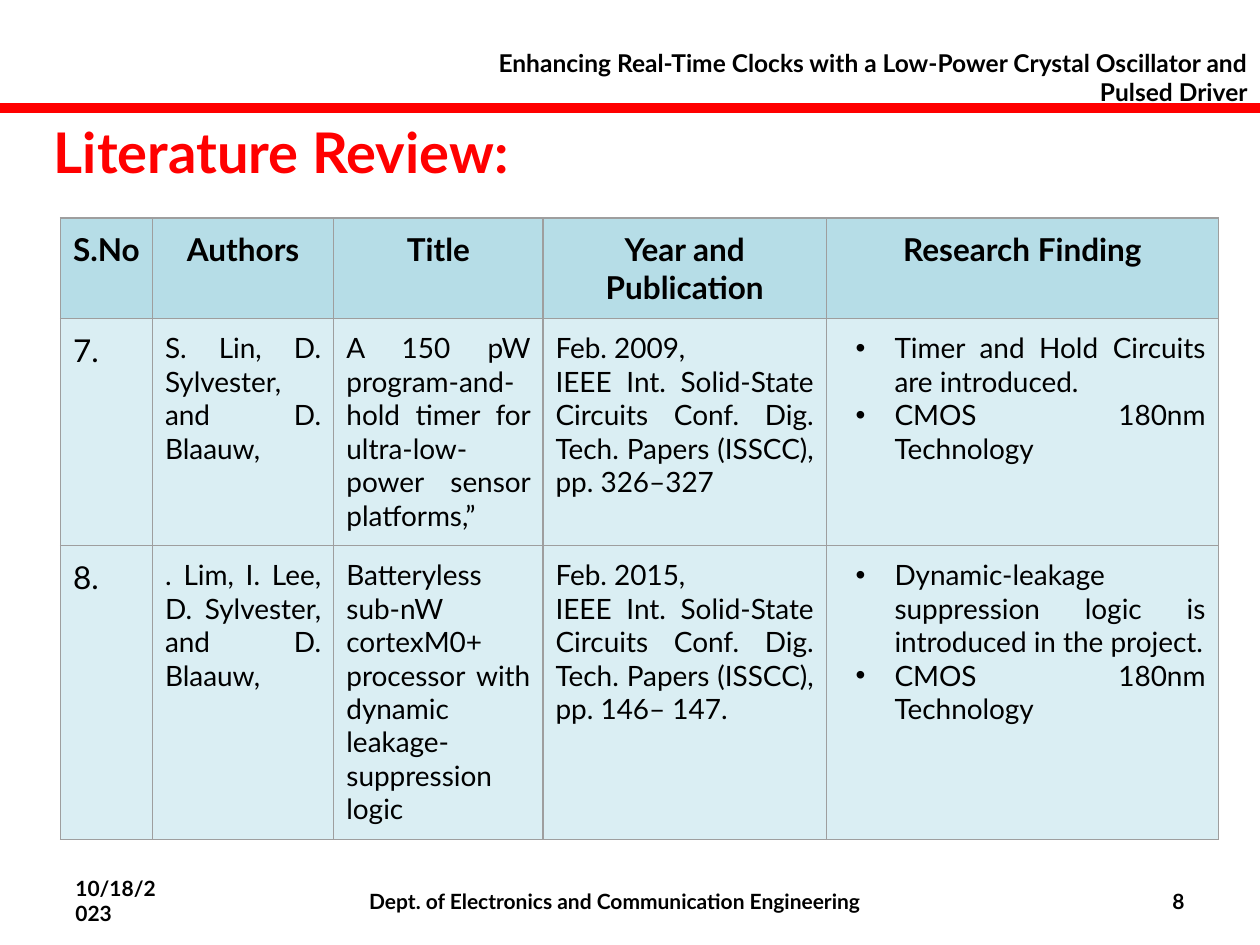
from dataclasses import dataclass

from lxml.etree import SubElement
from pptx import Presentation
from pptx.dml.color import RGBColor
from pptx.enum.shapes import MSO_SHAPE
from pptx.enum.text import MSO_ANCHOR, PP_ALIGN
from pptx.oxml.ns import qn
from pptx.util import Inches, Pt


@dataclass(frozen=True)
class Theme:
    font: str = "Lato"
    ink: str = "000000"
    accent: str = "FF0000"
    header_fill: str = "B6DDE7"
    body_fill: str = "DAEEF3"
    border: str = "9E9E9E"
    title_size: int = 32
    heading_size: int = 18
    body_size: int = 16
    project_size: int = 14
    footer_size: int = 12


HEADINGS = ["S.No", "Authors", "Title", "Year and Publication", "Research Finding"]
PAPERS = [
    [
        ["7."],
        ["S. Lin, D. Sylvester, and D. Blaauw,"],
        ["A 150 pW program-and-hold timer for ultra-low-power sensor platforms,”"],
        ["Feb. 2009,",
         "IEEE Int. Solid-State Circuits Conf. Dig. Tech. Papers (ISSCC), pp. 326–327"],
        ["Timer and Hold Circuits are introduced.", "CMOS 180nm Technology"],
    ],
    [
        ["8."],
        [". Lim, I. Lee, D. Sylvester, and D. Blaauw,"],
        ["Batteryless sub-nW cortexM0+ processor with dynamic leakage-suppression logic"],
        ["Feb. 2015,",
         "IEEE Int. Solid-State Circuits Conf. Dig. Tech. Papers (ISSCC), pp. 146– 147."],
        ["Dynamic-leakage suppression logic is introduced in the project.",
         "CMOS 180nm Technology"],
    ],
]
COLUMN_WIDTHS = [0.73, 1.44, 1.66, 2.25, 3.11]
ROW_HEIGHTS = [0.45, 1.39, 1.39]


class SlideBuilder:
    def __init__(self, page, theme):
        self.page = page
        self.theme = theme

    def fill_frame(self, frame, lines, size, color, align, bold=False, bulleted=False):
        frame.word_wrap = True
        for index, line in enumerate(lines):
            para = frame.paragraphs[0] if index == 0 else frame.add_paragraph()
            para.text = line
            para.alignment = align
            if bulleted:
                self.add_bullet(para)
            para.font.name = self.theme.font
            para.font.size = Pt(size)
            para.font.bold = bold
            para.font.color.rgb = RGBColor.from_string(color)

    def add_bullet(self, para):
        properties = para._p.get_or_add_pPr()
        properties.set("marL", str(Inches(0.44)))
        properties.set("indent", str(Inches(-0.31)))
        color = SubElement(properties, qn("a:buClr"))
        SubElement(color, qn("a:srgbClr"), val=self.theme.ink)
        SubElement(properties, qn("a:buFont"), typeface="Arial")
        SubElement(properties, qn("a:buChar"), char="•")

    def bar(self, left, top, width, height):
        bar = self.page.shapes.add_shape(
            MSO_SHAPE.RECTANGLE, Inches(left), Inches(top), Inches(width), Inches(height))
        bar.shadow.inherit = False
        color = RGBColor.from_string(self.theme.accent)
        bar.fill.solid()
        bar.fill.fore_color.rgb = color
        bar.line.color.rgb = color
        bar.line.width = Pt(2)

    def text(self, left, top, width, height, line, size, color=None,
             align=PP_ALIGN.LEFT, anchor=MSO_ANCHOR.TOP):
        box = self.page.shapes.add_textbox(
            Inches(left), Inches(top), Inches(width), Inches(height))
        box.text_frame.vertical_anchor = anchor
        self.fill_frame(box.text_frame, [line], size, color or self.theme.ink, align, bold=True)

    def footer(self, left, width, line, align):
        self.text(left, 6.95, width, 0.4, line, self.theme.footer_size,
                  align=align, anchor=MSO_ANCHOR.MIDDLE)

    def style_cell(self, cell, fill):
        cell.margin_left = cell.margin_right = Inches(0.1)
        cell.margin_top = cell.margin_bottom = Inches(0.1)
        properties = cell._tc.get_or_add_tcPr()
        for side in ("a:lnL", "a:lnR", "a:lnT", "a:lnB"):
            line = SubElement(properties, qn(side), w=str(Pt(0.75)))
            solid = SubElement(line, qn("a:solidFill"))
            SubElement(solid, qn("a:srgbClr"), val=self.theme.border)
        cell.fill.solid()
        cell.fill.fore_color.rgb = RGBColor.from_string(fill)

    def review_table(self, left, top, headings, papers, widths, heights):
        theme = self.theme
        table = self.page.shapes.add_table(
            len(heights), len(widths), Inches(left), Inches(top),
            Inches(sum(widths)), Inches(sum(heights))).table
        table.first_row = table.horz_banding = False
        for column, width in zip(table.columns, widths):
            column.width = Inches(width)
        for row, height in zip(table.rows, heights):
            row.height = Inches(height)

        for column, heading in enumerate(headings):
            cell = table.cell(0, column)
            self.style_cell(cell, theme.header_fill)
            self.fill_frame(cell.text_frame, [heading], theme.heading_size, theme.ink,
                            PP_ALIGN.CENTER, bold=True)
        for row, paper in enumerate(papers, start=1):
            for column, lines in enumerate(paper):
                cell = table.cell(row, column)
                self.style_cell(cell, theme.body_fill)
                size = theme.heading_size if column == 0 else theme.body_size
                self.fill_frame(cell.text_frame, lines, size, theme.ink, PP_ALIGN.JUSTIFY,
                                bulleted=column == len(paper) - 1)


def main():
    deck = Presentation()
    deck.slide_width, deck.slide_height = Inches(10), Inches(7.5)
    theme = Theme()
    builder = SlideBuilder(deck.slides.add_slide(deck.slide_layouts[6]), theme)

    builder.bar(0, 0.83, 10, 0.05)
    builder.footer(0.5, 0.92, "10/18/2023", PP_ALIGN.LEFT)
    builder.footer(2.42, 4.92, "Dept. of Electronics and Communication Engineering",
                   PP_ALIGN.CENTER)
    builder.footer(9.08, 0.42, "8", PP_ALIGN.RIGHT)
    builder.text(0.33, 0.88, 9.33, 0.64, "Literature Review:", theme.title_size, theme.accent)
    builder.text(3.52, 0.33, 6.48, 0.34,
                 "Enhancing Real-Time Clocks with a Low-Power Crystal Oscillator and Pulsed Driver",
                 theme.project_size, align=PP_ALIGN.RIGHT)
    builder.review_table(0.48, 1.73, HEADINGS, PAPERS, COLUMN_WIDTHS, ROW_HEIGHTS)
    deck.save("out.pptx")


if __name__ == "__main__":
    main()
